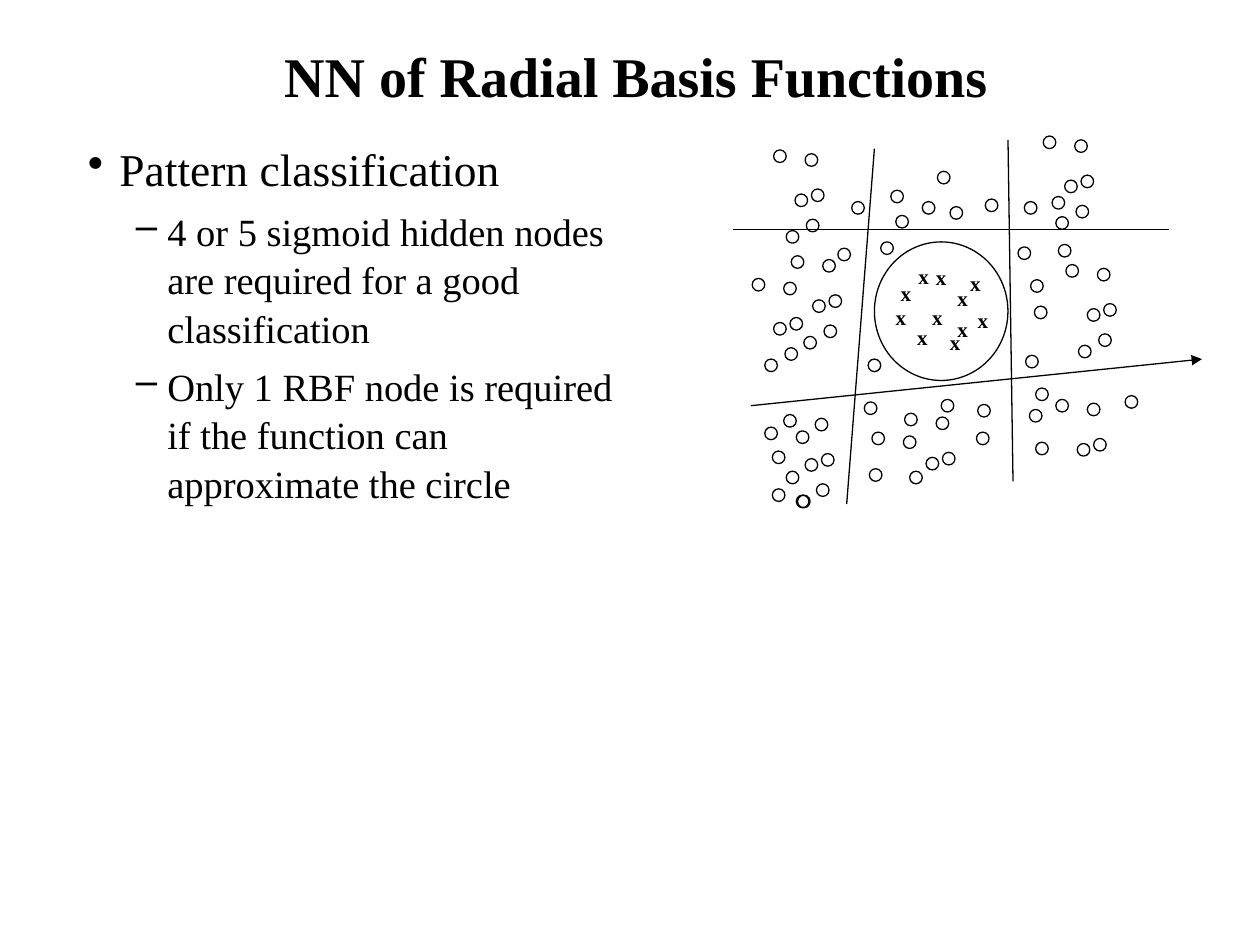
import pptx
import pptx.util
import pptx.dml.color
import pptx.enum.shapes
import pptx.enum.text
import pptx.oxml.ns
from lxml import etree

BLACK = pptx.dml.color.RGBColor(0, 0, 0)
FONT = "Times New Roman"
WIDTH, HEIGHT = pptx.util.Inches(10), pptx.util.Inches(7.5)
COLS, ROWS = 380, 300
DOT = 10

LINES = [
    ((2, 77), (348, 77), False),
    ((16, 217), (374, 180), True),
    ((114, 13), (92, 295), False),
    ((220, 6), (224, 277), False),
]
CROSSES = [
    (153, 100), (170, 117), (186, 134), (170, 141), (138, 148), (125, 113),
    (150, 132), (121, 132), (180, 105), (164, 152), (139, 99),
]
CLUSTER = [(0, 0), (25, 3), (30, 31), (17, 35), (26, 55), (10, 64)]
FULL_CLUSTERS = [(34, 14), (248, 3), (266, 105), (17, 116), (48, 98), (42, 224)]
SHORT_CLUSTERS = [(138, 223), (258, 212)]
SINGLES = [
    (109, 180), (119, 87), (237, 220), (242, 203), (241, 138), (260, 89),
    (238, 117), (228, 91), (234, 177), (255, 51), (233, 55), (85, 92),
    (96, 55), (164, 31), (127, 46), (152, 55), (174, 59), (131, 66),
    (202, 53), (196, 216), (106, 214), (167, 212), (142, 269), (195, 238),
    (112, 238), (137, 241), (110, 267), (53, 288), (33, 253), (44, 269),
    (27, 234), (52, 237), (33, 283), (313, 209), (242, 246),
]


def share(x, y, w, h):
    return [int(v) for v in (x * WIDTH, y * HEIGHT, w * WIDTH, h * HEIGHT)]


def write(p, text, size, bold=False, align=None, before=None, spacing=None):
    r = p.add_run()
    r.text = text
    r.font.name = FONT
    r.font.size = pptx.util.Pt(size)
    r.font.bold = bold
    r.font.color.rgb = BLACK
    if align is not None:
        p.alignment = align
    if before is not None:
        p.space_before = pptx.util.Pt(before)
    if spacing is not None:
        p.line_spacing = spacing


def add_bullet(p, char, indent):
    pPr = p._p.get_or_add_pPr()
    pPr.set("marL", str(pptx.util.Inches(indent)))
    pPr.set("indent", str(pptx.util.Inches(-0.25)))
    bu = etree.SubElement(pPr, pptx.oxml.ns.qn("a:buChar"))
    bu.set("char", char)


def add_title(s, box):
    tf = s.shapes.add_textbox(*box).text_frame
    tf.word_wrap = True
    tf.vertical_anchor = pptx.enum.text.MSO_ANCHOR.MIDDLE
    write(tf.paragraphs[0], "NN of Radial Basis Functions", 32, bold=True,
          align=pptx.enum.text.PP_ALIGN.CENTER)


def add_body(s, box):
    tf = s.shapes.add_textbox(*box).text_frame
    tf.word_wrap = True
    items = [
        ("Pattern classification", 0),
        ("4 or 5 sigmoid hidden nodes are required for a good classification", 1),
        ("Only 1 RBF node is required if the function can approximate the circle", 1),
    ]
    styles = [(26, 6.5, "•", 0.25), (22, 5.5, "–", 0.63)]
    for i, (text, level) in enumerate(items):
        size, before, char, indent = styles[level]
        p = tf.add_paragraph() if i else tf.paragraphs[0]
        p.level = level
        write(p, text, size, before=before, spacing=1.05)
        add_bullet(p, char, indent)


def add_circle(s, x, y, w, h):
    sp = s.shapes.add_shape(pptx.enum.shapes.MSO_SHAPE.OVAL, x, y, w, h)
    sp.shadow.inherit = False
    sp.fill.background()
    sp.line.color.rgb = BLACK
    sp.line.width = pptx.util.Pt(0.75)


def add_line(s, x1, y1, x2, y2, arrow):
    c = s.shapes.add_connector(
        pptx.enum.shapes.MSO_CONNECTOR.STRAIGHT, x1, y1, x2, y2)
    c.line.color.rgb = BLACK
    c.line.width = pptx.util.Pt(0.75)
    if arrow:
        tail = etree.SubElement(c.line._get_or_add_ln(), pptx.oxml.ns.qn("a:tailEnd"))
        tail.set("type", "triangle")
    etree.SubElement(c._element.spPr, pptx.oxml.ns.qn("a:effectLst"))


def add_cross(s, x, y, w, h):
    tf = s.shapes.add_textbox(x, y, w, h).text_frame
    tf.word_wrap = False
    write(tf.paragraphs[0], "x", 12, bold=True)


def add_plot(s, box):
    left, top, width, height = box

    def at(col, row):
        return left + width * col // COLS, top + height * row // ROWS

    def size(cols, rows):
        return width * cols // COLS, height * rows // ROWS

    add_circle(s, *at(114, 87), *size(106, 110))
    for cross in CROSSES:
        add_cross(s, *at(*cross), *size(28, 30))
    for start, end, arrow in LINES:
        add_line(s, *at(*start), *at(*end), arrow)
    dots = list(SINGLES)
    for bases, pattern in ((FULL_CLUSTERS, CLUSTER), (SHORT_CLUSTERS, CLUSTER[:4])):
        dots += [(x + dx, y + dy) for x, y in bases for dx, dy in pattern]
    for dot in dots:
        add_circle(s, *at(*dot), *size(DOT, DOT))


def main():
    prs = pptx.Presentation()
    prs.slide_width, prs.slide_height = WIDTH, HEIGHT
    s = prs.slides.add_slide(prs.slide_layouts[6])
    add_title(s, share(0.08, 0.04, 0.85, 0.08))
    add_body(s, share(0.06, 0.14, 0.44, 0.39))
    add_plot(s, share(0.58, 0.14, 0.38, 0.4))
    prs.save("out.pptx")


if __name__ == "__main__":
    main()
